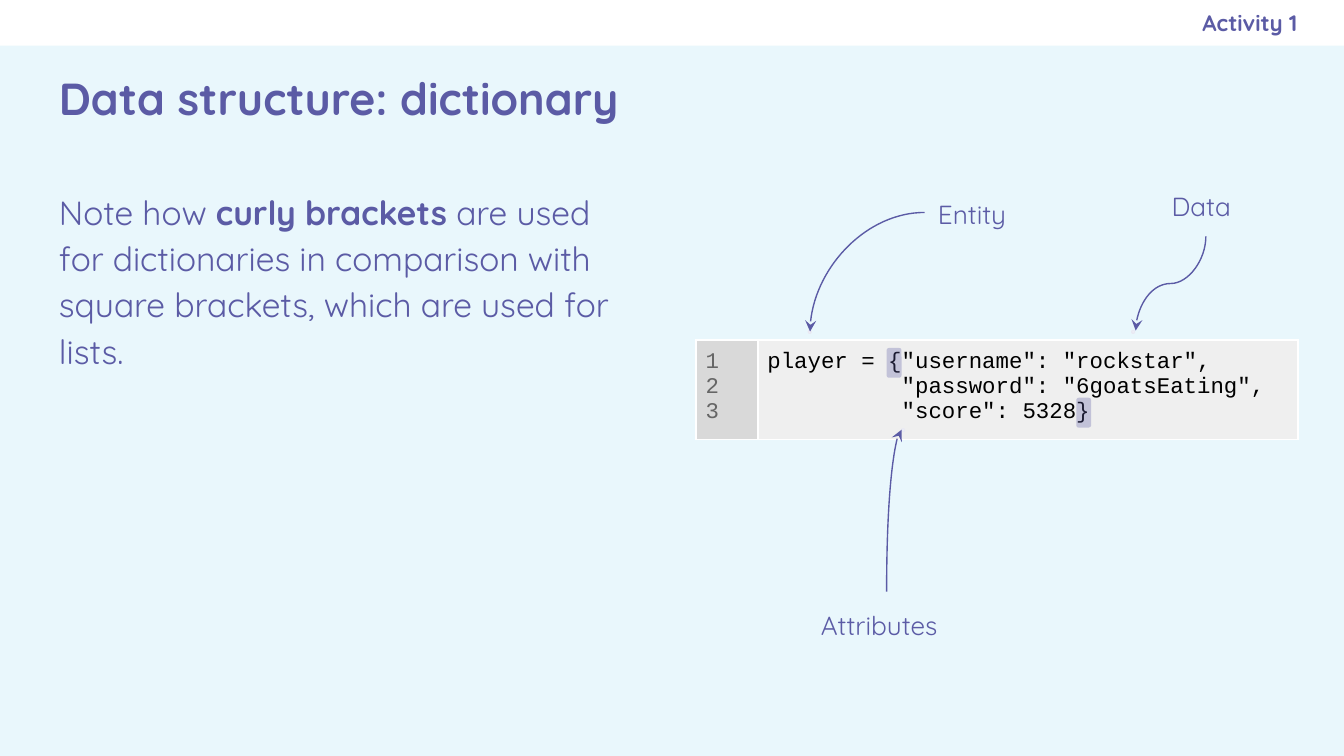
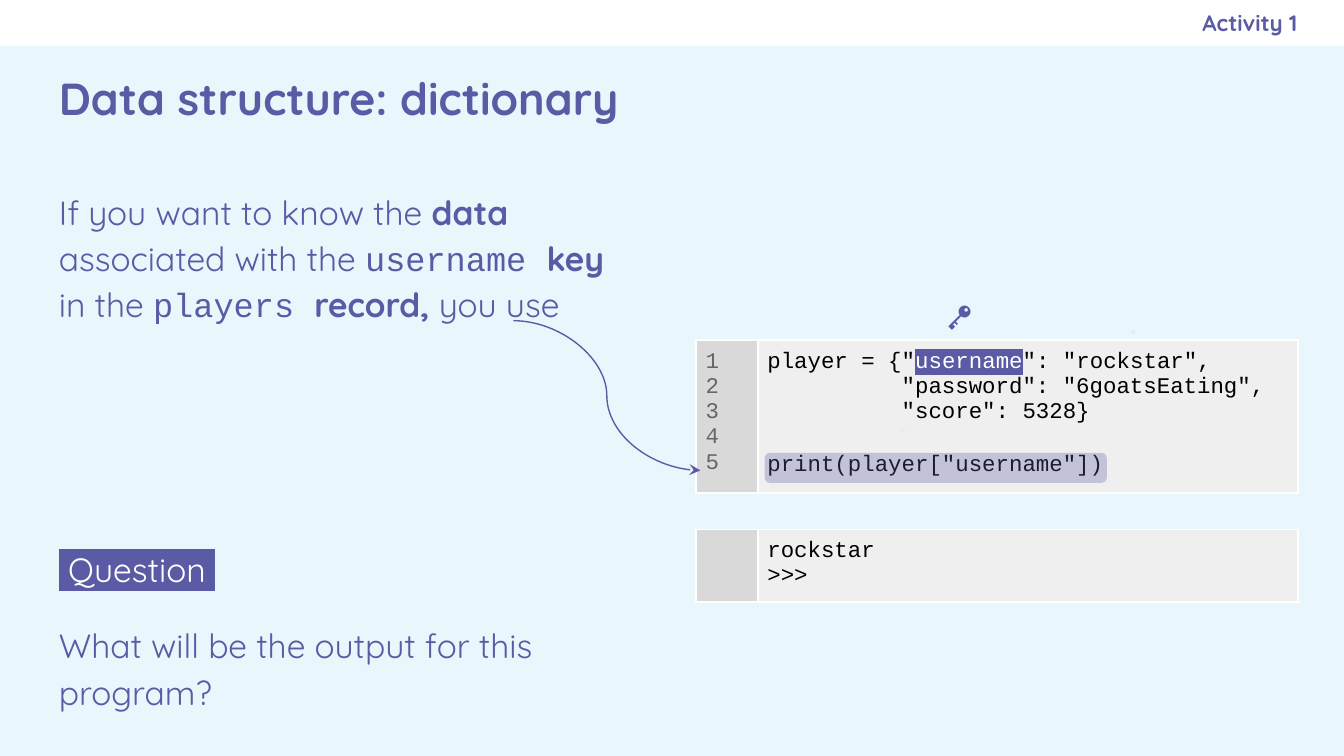
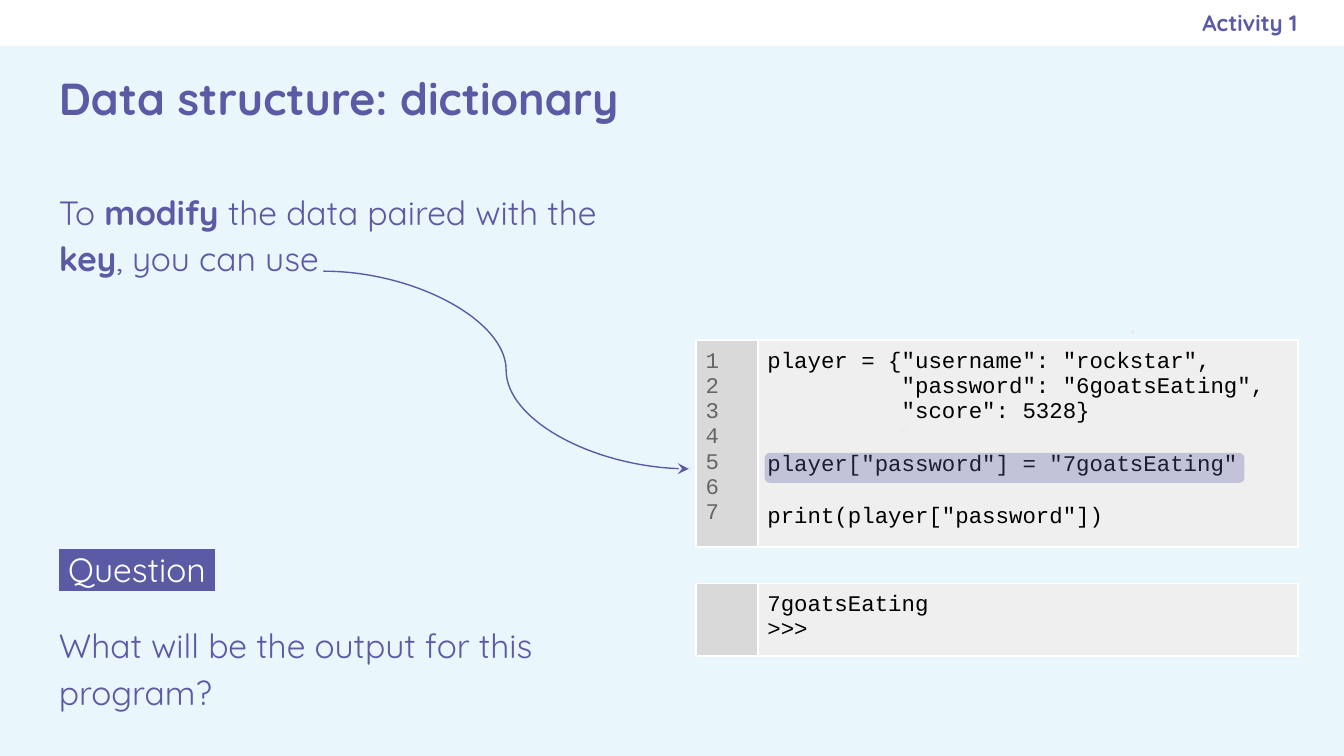
from pptx import Presentation
from pptx.dml.color import RGBColor
from pptx.enum.shapes import MSO_CONNECTOR, MSO_SHAPE
from pptx.enum.text import MSO_ANCHOR, PP_ALIGN
from pptx.oxml.ns import qn
from pptx.oxml.xmlchemy import OxmlElement
from pptx.util import Pt

CURVE = MSO_CONNECTOR.CURVE
RECT, OVAL, ROUNDED = MSO_SHAPE.RECTANGLE, MSO_SHAPE.OVAL, MSO_SHAPE.ROUNDED_RECTANGLE
TOP, MIDDLE = MSO_ANCHOR.TOP, MSO_ANCHOR.MIDDLE
LEFT, RIGHT = PP_ALIGN.LEFT, PP_ALIGN.RIGHT

COLORS = {
    "page": "E9F7FC", "band": "FFFFFF", "purple": "5B5BA5", "white": "FFFFFF",
    "gutter": "D9D9D9", "code": "EFEFEF", "number": "666666", "black": "000000",
    "dot": "F2F6FC", "dot_edge": "E9E9F3",
}
TEXT_FONT, CODE_FONT = "Quicksand", "Courier New"
BOLD = {"bold": True}
MONO = {"font": CODE_FONT}
MARKED = {"color": "white", "highlight": "purple"}

SLIDE_W, SLIDE_H, BAND_H = 720, 405, 24.4
BODY_X, BODY_Y, BODY_W = 24.5, 92.2, 322.5
CODE_X, CODE_Y, GUTTER_W, CODE_W = 373, 182.2, 33.1, 289.4
LINE_H, CELL_INSET, INSET = 13.6, 5, 7.2
MARK_X, MARK_Y, MARK_H = 409.7, 242.7, 16
INDENT = " " * 10
REST_OF_PLAYER = [INDENT + '"password": "6goatsEating",', INDENT + '"score": 5328}']
PLAYER = ['player = {"username": "rockstar",'] + REST_OF_PLAYER


def rgb(name):
    """Return the named colour."""
    return RGBColor.from_string(COLORS[name])


def style_run(run, size, color, font=TEXT_FONT, bold=False, highlight=None):
    """Format one run of text."""
    run.font.size, run.font.name, run.font.bold = Pt(size), font, bold
    run.font.color.rgb = rgb(color)
    if highlight:
        mark = OxmlElement("a:highlight")
        shade = OxmlElement("a:srgbClr")
        shade.set("val", COLORS[highlight])
        mark.append(shade)
        run.font._element.find(qn("a:solidFill")).addnext(mark)


def write(frame, paragraphs, **base):
    """Fill a frame with paragraphs, each a string or a list of (text, style) runs."""
    for index, content in enumerate(paragraphs):
        paragraph = frame.paragraphs[0] if index == 0 else frame.add_paragraph()
        runs = [(content, {})] if isinstance(content, str) else content
        for text, style in runs:
            if text:
                run = paragraph.add_run()
                run.text = text
                style_run(run, **{**base, **style})
            else:
                end = OxmlElement("a:endParaRPr")
                end.set("sz", str(base["size"] * 100))
                paragraph._p.append(end)


def add_text(slide, x, y, w, h, paragraphs, size=18, color="purple", bold=False,
             spacing=1.15, gap=0, anchor=TOP, align=LEFT, right_inset=INSET):
    """Add a wrapped text box."""
    frame = slide.shapes.add_textbox(Pt(x), Pt(y), Pt(w), Pt(h)).text_frame
    frame.word_wrap, frame.vertical_anchor = True, anchor
    frame.margin_left = frame.margin_top = frame.margin_bottom = Pt(INSET)
    frame.margin_right = Pt(right_inset)
    write(frame, paragraphs, size=size, color=color, bold=bold)
    for index, paragraph in enumerate(frame.paragraphs):
        paragraph.alignment, paragraph.line_spacing = align, spacing
        if index:
            paragraph.space_before = Pt(gap)


def add_block(slide, kind, x, y, w, h, fill, edge=None, opacity=None):
    """Add a filled shape, optionally outlined or see-through."""
    block = slide.shapes.add_shape(kind, Pt(x), Pt(y), Pt(w), Pt(h))
    block.shadow.inherit = False
    block.fill.solid()
    block.fill.fore_color.rgb = rgb(fill)
    if edge:
        block.line.color.rgb, block.line.width = rgb(edge), Pt(0.75)
    else:
        block.line.fill.background()
    if opacity:
        alpha = OxmlElement("a:alpha")
        alpha.set("val", str(opacity * 1000))
        block._element.spPr.find(qn("a:solidFill"))[0].append(alpha)


def add_mark(slide, x, y, w):
    """Lay a translucent marker over part of the code."""
    add_block(slide, ROUNDED, x, y, w, MARK_H, "purple", opacity=30)


def add_dot(slide, x, y):
    """Add the faint dot where an arrow ends."""
    add_block(slide, OVAL, x - 0.75, y - 0.75, 1.5, 1.5, "dot", edge="dot_edge")


def add_arrow(slide, start, end, bend="curvedConnector3", turn=0):
    """Add a curved arrow, turned by the given degrees to leave vertically."""
    (x1, y1), (x2, y2) = start, end
    if turn:
        mid_x, mid_y = (x1 + x2) / 2, (y1 + y2) / 2
        half_w, half_h = abs(y2 - y1) / 2, abs(x2 - x1) / 2
        x1, y1, x2, y2 = mid_x - half_w, mid_y - half_h, mid_x + half_w, mid_y + half_h
    arrow = slide.shapes.add_connector(CURVE, Pt(x1), Pt(y1), Pt(x2), Pt(y2))
    arrow.line.color.rgb, arrow.line.width = rgb("purple"), Pt(0.75)
    properties = arrow._element.spPr
    properties.find(qn("a:prstGeom")).set("prst", bend)
    if turn:
        properties.find(qn("a:xfrm")).set("rot", str(turn * 60000))
    head = OxmlElement("a:tailEnd")
    head.set("type", "stealth")
    properties.find(qn("a:ln")).append(head)
    properties.append(OxmlElement("a:effectLst"))


def add_code(slide, y, lines, numbered=True):
    """Add a code listing with a gutter for line numbers."""
    height = len(lines) * LINE_H + 2 * CELL_INSET
    table = slide.shapes.add_table(1, 2, Pt(CODE_X), Pt(y), Pt(GUTTER_W + CODE_W),
                                   Pt(height)).table
    table.first_row = table.horz_banding = False
    numbers = [str(number + 1) for number in range(len(lines))] if numbered else []
    columns = [(GUTTER_W, "gutter", "number", numbers), (CODE_W, "code", "black", lines)]
    for index, (width, fill, color, content) in enumerate(columns):
        table.columns[index].width = Pt(width)
        cell = table.cell(0, index)
        cell.fill.solid()
        cell.fill.fore_color.rgb = rgb(fill)
        cell.margin_left = cell.margin_right = Pt(CELL_INSET)
        cell.margin_top = cell.margin_bottom = Pt(CELL_INSET)
        write(cell.text_frame, content, size=12, color=color, font=CODE_FONT)


def add_page(deck, explanation, code):
    """Add a slide with the band, headings, explanation and code listing."""
    slide = deck.slides.add_slide(deck.slide_layouts[6])
    slide.background.fill.solid()
    slide.background.fill.fore_color.rgb = rgb("page")
    add_block(slide, RECT, 0, 0, SLIDE_W, BAND_H, "band")
    add_text(slide, BODY_X, BODY_Y, BODY_W, 122.4, [explanation])
    add_text(slide, BODY_X, 25.2, 671, 54.7, ["Data structure: dictionary"], size=24,
             bold=True, spacing=1, anchor=MIDDLE)
    add_text(slide, 414, 0, 281, BAND_H, ["Activity 1"], size=12, bold=True, spacing=1,
             anchor=MIDDLE, align=RIGHT, right_inset=0)
    add_code(slide, CODE_Y, code)
    for x, y in [(483.8, 230.4), (607, 177.8)]:
        add_dot(slide, x, y)
    return slide


def add_question(slide, arrow_start, arrow_end, mark_w, output_y, output):
    """Point at the marked line, show its output and ask the question."""
    add_code(slide, output_y, [output, ">>>"], numbered=False)
    add_dot(slide, 369.4, 251.3)
    add_arrow(slide, arrow_start, arrow_end)
    add_mark(slide, MARK_X, MARK_Y, mark_w)
    add_text(slide, BODY_X, 283.7, BODY_W, 96.5,
             [[(" Question ", MARKED)], "What will be the output for this program?"], gap=16)


def add_brackets_slide(deck):
    """Explain curly brackets and name the parts of a dictionary."""
    slide = add_page(deck, [
        ("Note how ", {}), ("curly brackets", BOLD),
        (" are used for dictionaries in comparison with square brackets, "
         "which are used for lists.", {})], PLAYER)
    for label, x, y, w in [("Attributes", 432.7, 316.8, 85), ("Entity", 495.4, 96.5, 52),
                           ("Data", 620.6, 92.2, 52)]:
        add_text(slide, x, y, w, 34.6, [label], size=14)
    add_dot(slide, 433.8, 177.8)
    add_arrow(slide, (475, 317), (483, 230.2), "curvedConnector2", turn=270)
    add_arrow(slide, (495.4, 113.8), (434, 177.6), "curvedConnector2")
    add_arrow(slide, (646, 126.7), (608.4, 177.1), turn=90)
    for x, y in [(475, 186.4), (576.6, 213.1)]:
        add_mark(slide, x, y, 8)


def add_lookup_slide(deck):
    """Show how to read the data for a key."""
    first_line = [('player = {"', {}), ("username", MARKED), ('": "rockstar",', {})]
    slide = add_page(deck, [
        ("If you want to know the ", {}), ("data ", BOLD), ("associated with the ", {}),
        ("username ", MONO), ("key ", BOLD), ("in the ", {}), ("players ", MONO),
        ("record,", BOLD), (" you use", {})],
        [first_line] + REST_OF_PLAYER + ["", 'print(player["username"])'])
    add_text(slide, 500.4, 150.5, 31, 31.7, ["🔑"], size=14)
    add_question(slide, (275, 171.8), (375.2, 252), 183.3, 283.7, "rockstar")


def add_modify_slide(deck):
    """Show how to change the data for a key."""
    slide = add_page(deck, [
        ("To ", {}), ("modify ", BOLD), ("the data paired with the ", {}), ("key", BOLD),
        (", you can use", {})],
        PLAYER + ["", 'player["password"] = "7goatsEating"', "",
                  'print(player["password"])'])
    add_question(slide, (173.3, 145.3), (369, 251.2), 257, 312.5, "7goatsEating")


def main():
    """Build the deck and save it."""
    deck = Presentation()
    deck.slide_width, deck.slide_height = Pt(SLIDE_W), Pt(SLIDE_H)
    add_brackets_slide(deck)
    add_lookup_slide(deck)
    add_modify_slide(deck)
    deck.save("out.pptx")


if __name__ == "__main__":
    main()
